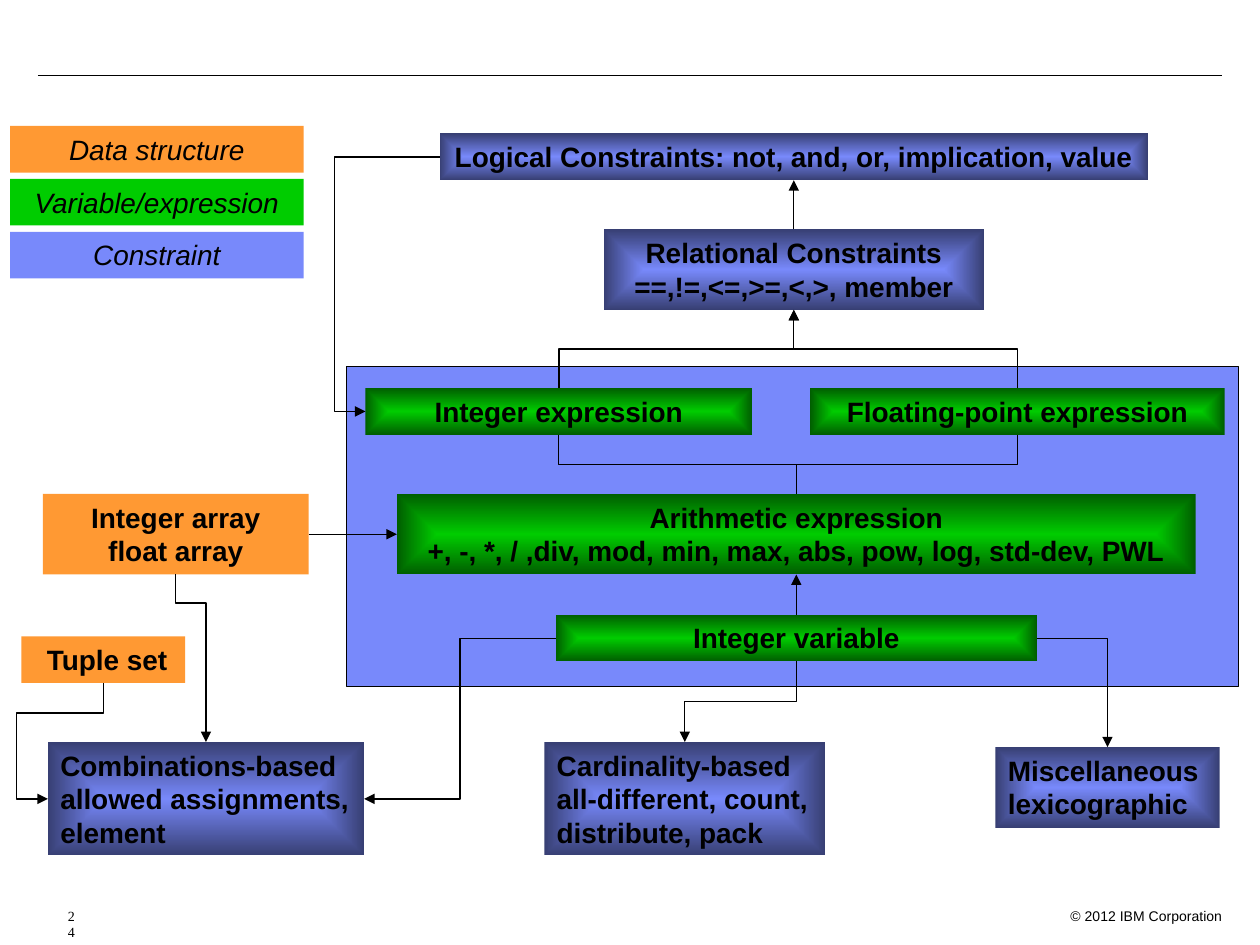
"""Build a slide that maps data structures and expressions to constraint families."""
from lxml.etree import SubElement
from pptx import Presentation
from pptx.dml.color import RGBColor
from pptx.enum.shapes import MSO_CONNECTOR, MSO_SHAPE
from pptx.enum.text import MSO_ANCHOR, MSO_AUTO_SIZE, PP_ALIGN
from pptx.oxml.ns import qn
from pptx.util import Inches, Pt

COLORS = {
    "data": "FF9933",
    "expression": "00CC00",
    "expression edge": "005E00",
    "constraint": "7889FB",
    "constraint edge": "373F73",
    "ink": "000000",
}
TOP, LEFT, BOTTOM, RIGHT = range(4)
LEGEND = [("Data structure", "data"), ("Variable/expression", "expression"), ("Constraint", "constraint")]
LEGEND_TOP, LEGEND_STEP = 1, 0.42
HEIGHTS = {1: 0.37, 2: 0.64, 3: 0.9}

NODES = {
    "array": ("data", 0.34, 3.92, 2.11, ["Integer array", "float array"]),
    "tuple": ("data", 0.17, 5.05, 1.3, [" Tuple set"]),
    "floating": ("expression", 6.43, 3.08, 3.29, ["Floating-point expression"]),
    "integer": ("expression", 2.9, 3.08, 3.07, ["Integer expression"]),
    "arithmetic": ("expression", 3.15, 3.92, 6.34,
                   ["Arithmetic expression", "+, -, *, / ,div, mod, min, max, abs, pow, log, std-dev, PWL"]),
    "variable": ("expression", 4.41, 4.88, 3.82, ["Integer variable"]),
    "logical": ("constraint", 3.49, 1.06, 5.62, ["Logical Constraints: not, and, or, implication, value"]),
    "relational": ("constraint", 4.79, 1.82, 3.02, ["Relational Constraints", "==,!=,<=,>=,<,>, member"]),
    "cardinality": ("constraint", 4.32, 5.89, 2.23,
                    ["Cardinality-based", "all-different, count,", "distribute, pack"]),
    "combinations": ("constraint", 0.38, 5.89, 2.51,
                     ["Combinations-based", "allowed assignments,", "element"]),
    "miscellaneous": ("constraint", 7.9, 5.93, 1.78, ["Miscellaneous", "lexicographic"]),
}
LEFT_ALIGNED = {"cardinality", "combinations", "miscellaneous"}

STRAIGHT_LINKS = [
    ("variable", TOP, "arithmetic", BOTTOM),
    ("relational", TOP, "logical", BOTTOM),
    ("array", RIGHT, "arithmetic", LEFT),
]
BENT_LINKS = [
    ("integer", BOTTOM, "arithmetic", TOP, [0.5], False),
    ("floating", BOTTOM, "arithmetic", TOP, [0.5], False),
    ("logical", LEFT, "integer", LEFT, [1.42], True),
    ("integer", TOP, "relational", BOTTOM, [0.5], True),
    ("floating", TOP, "relational", BOTTOM, [0.5], True),
    ("array", BOTTOM, "combinations", TOP, [0.17], True),
    ("tuple", BOTTOM, "combinations", LEFT, [0.26, 1.57], True),
    ("variable", BOTTOM, "cardinality", TOP, [0.5], True),
    ("variable", LEFT, "combinations", RIGHT, [0.5], True),
    ("variable", RIGHT, "miscellaneous", TOP, [], True),
]
TURNS = {
    (True, True, True): (270, "H"),
    (True, True, False): (90, ""),
    (True, False, True): (90, "HV"),
    (True, False, False): (270, "V"),
    (False, True, True): (0, ""),
    (False, True, False): (180, "V"),
}


def color(name):
    return RGBColor.from_string(COLORS[name])


def write(frame, lines, size, font, align, bold=False, italic=False):
    frame.margin_left = frame.margin_right = Inches(0.1)
    frame.margin_top = frame.margin_bottom = Inches(0.05)
    frame.vertical_anchor = MSO_ANCHOR.TOP
    for index, line in enumerate(lines):
        paragraph = frame.add_paragraph() if index else frame.paragraphs[0]
        paragraph.alignment = align
        span = paragraph.add_run()
        span.text = line
        span.font.size, span.font.name = Pt(size), font
        span.font.bold, span.font.italic = bold, italic
        span.font.color.rgb = color("ink")


def add_box(page, left, top, width, height, fill):
    box = page.shapes.add_shape(MSO_SHAPE.RECTANGLE, *map(Inches, (left, top, width, height)))
    box.shadow.inherit = False
    box.fill.solid()
    box.fill.fore_color.rgb = color(fill)
    box.line.fill.background()
    return box


def shade(box, kind):
    box.fill.gradient()
    for stop, name in zip(box.fill.gradient_stops, (kind, kind + " edge")):
        stop.color.rgb = color(name)
    gradient = box.element.spPr.find(qn("a:gradFill"))
    gradient.remove(gradient.find(qn("a:lin")))
    center = SubElement(gradient, qn("a:path"), {"path": "rect"})
    SubElement(center, qn("a:fillToRect"), dict.fromkeys("ltrb", "50000"))


def add_node(page, name):
    kind, left, top, width, lines = NODES[name]
    box = add_box(page, left, top, width, HEIGHTS[len(lines)], kind)
    if kind != "data":
        shade(box, kind)
    to_left = name in LEFT_ALIGNED
    box.text_frame.word_wrap = not to_left
    box.text_frame.auto_size = MSO_AUTO_SIZE.SHAPE_TO_FIT_TEXT
    write(box.text_frame, lines, 16, "Arial", PP_ALIGN.LEFT if to_left else PP_ALIGN.CENTER, bold=True)
    return box


def add_line(page, kind, points=(0, 0, 0, 0), arrow=False):
    line = page.shapes.add_connector(kind, *map(Inches, points))
    line.line.color.rgb = color("ink")
    line.line.width = Pt(0.75)
    if arrow:
        SubElement(line.line._get_or_add_ln(), qn("a:tailEnd"), {"type": "triangle"})
    SubElement(line.element.spPr, qn("a:effectLst"))
    return line


def join(line, boxes, link):
    start, start_side, end, end_side = link[:4]
    line.begin_connect(boxes[start], start_side)
    line.end_connect(boxes[end], end_side)


def bend(line, upright, bends):
    across, down = line.end_x - line.begin_x, line.end_y - line.begin_y
    middle_x, middle_y = line.begin_x + across // 2, line.begin_y + down // 2
    width, height = (abs(down), abs(across)) if upright else (abs(across), abs(down))
    line.left, line.top = middle_x - width // 2, middle_y - height // 2
    line.width, line.height = width, height
    angle, flips = TURNS[upright, down > 0, across > 0]
    transform = line.element.spPr.find(qn("a:xfrm"))
    transform.set("rot", str(angle * 60000))
    for axis in "HV":
        transform.set("flip" + axis, str(int(axis in flips)))
    geometry = line.element.spPr.find(qn("a:prstGeom"))
    geometry.set("prst", f"bentConnector{len(bends) + 2}")
    guides = geometry.find(qn("a:avLst"))
    for number, value in enumerate(bends, 1):
        SubElement(guides, qn("a:gd"), {"name": f"adj{number}", "fmla": f"val {round(value * 100000)}"})


def add_note(page, place, text, font, align):
    box = page.shapes.add_textbox(*map(Inches, place))
    box.text_frame.word_wrap = True
    write(box.text_frame, [text], 8, font, align)
    return box


def main():
    deck = Presentation()
    deck.slide_width, deck.slide_height = Inches(10), Inches(7.5)
    page = deck.slides.add_slide(deck.slide_layouts[6])

    add_line(page, MSO_CONNECTOR.STRAIGHT, (0.3, 0.6, 9.7, 0.6))
    add_note(page, (8.3, 7.15, 1.5, 0.2), "© 2012 IBM Corporation", "Arial", PP_ALIGN.RIGHT)
    number = add_note(page, (0.2, 7.15, 0.4, 0.2), "24", "Times New Roman", PP_ALIGN.LEFT)
    properties = number.text_frame.paragraphs[0]._p.get_or_add_pPr()
    properties.set("marL", str(Inches(0.24)))
    properties.set("indent", "0")

    panel = add_box(page, 2.75, 2.91, 7.08, 2.54, "constraint")
    panel.line.color.rgb = color("ink")
    panel.line.width = Pt(0.75)

    for row, (label, kind) in enumerate(LEGEND):
        box = add_box(page, 0.08, LEGEND_TOP + row * LEGEND_STEP, 2.33, HEIGHTS[1], kind)
        box.text_frame.auto_size = MSO_AUTO_SIZE.SHAPE_TO_FIT_TEXT
        write(box.text_frame, [label], 16, "Arial", PP_ALIGN.CENTER, italic=True)

    boxes = {name: add_node(page, name) for name in NODES}
    for link in STRAIGHT_LINKS:
        join(add_line(page, MSO_CONNECTOR.STRAIGHT, arrow=True), boxes, link)
    for link in BENT_LINKS:
        line = add_line(page, MSO_CONNECTOR.ELBOW, arrow=link[5])
        join(line, boxes, link)
        bend(line, link[1] in (TOP, BOTTOM), link[4])

    deck.save("out.pptx")


if __name__ == "__main__":
    main()
